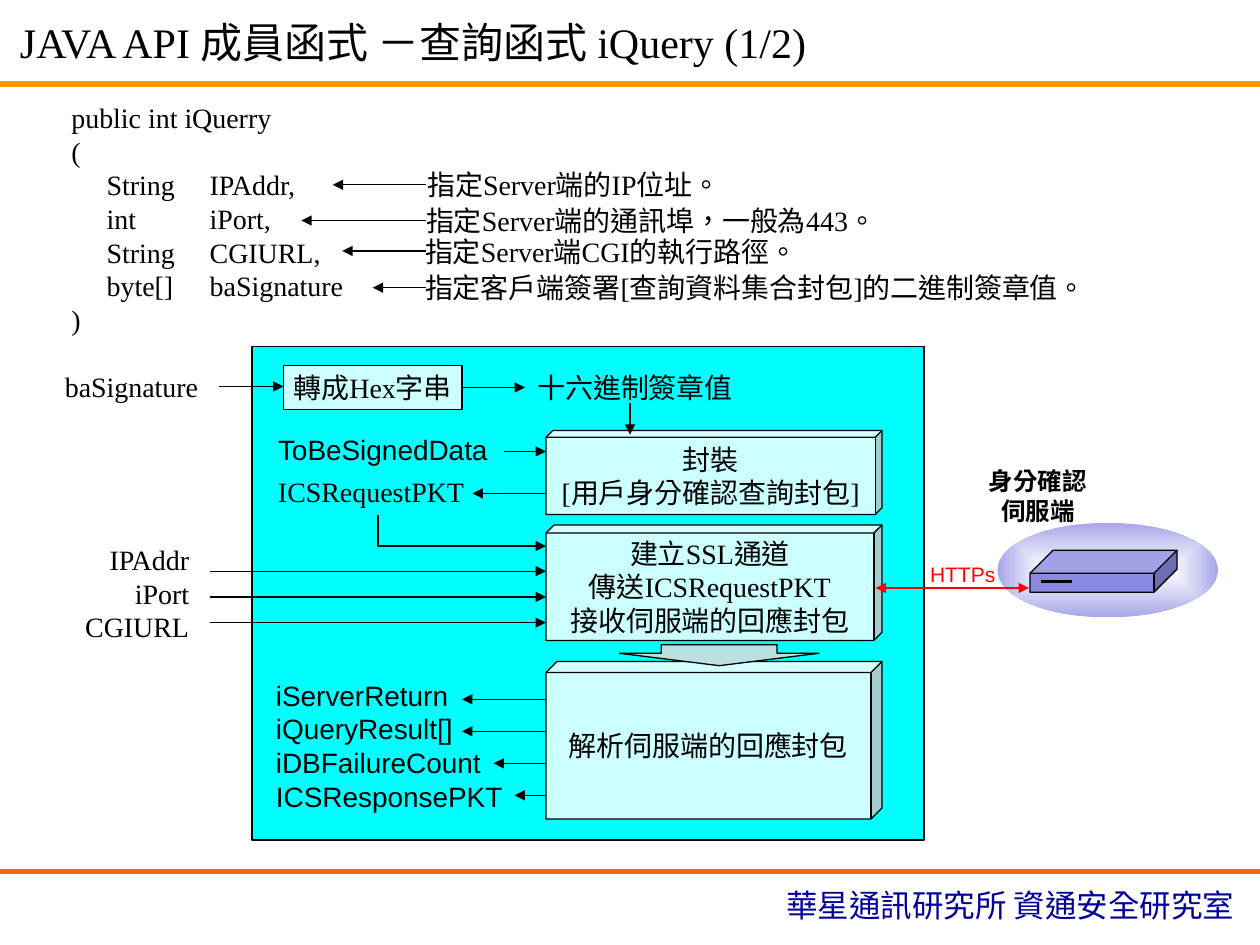
from dataclasses import dataclass

from lxml import etree
from pptx import Presentation
from pptx import util as u
from pptx.dml.color import RGBColor
from pptx.enum import shapes, text
from pptx.oxml import ns


@dataclass(frozen=True)
class Theme:
    """Colours, type sizes and faces of the slide."""
    ink: str = "000000"
    title_rule: str = "FF9900"
    footer_rule: str = "FF6600"
    footer: str = "000099"
    panel: str = "00FFFF"
    step: str = "CCFFFF"
    flow: str = "BBE0E3"
    link: str = "FF0000"
    server: str = "8989E1"
    glow: str = "A7A7E9"
    paper: str = "FFFFFF"
    serif: str = "Times New Roman"
    sans: str = "Arial"
    language: str = "zh-TW"
    title_size: int = 24
    footer_size: int = 18
    body_size: int = 16
    server_size: int = 14
    link_size: int = 12
    thin: float = 0.75
    medium: float = 1.5
    thick: float = 3


THEME = Theme()
COLUMNS, ROWS = 120, 90
CELL = u.Inches(10) // COLUMNS
LEFT, CENTER, RIGHT = text.PP_ALIGN.LEFT, text.PP_ALIGN.CENTER, text.PP_ALIGN.RIGHT


@dataclass(frozen=True)
class Box:
    """A region measured in grid columns and rows."""
    left: float
    top: float
    width: float
    height: float

    def inner(self, left, top, width, height):
        """Return a box placed relative to this one."""
        return Box(self.left + left, self.top + top, width, height)

    def point(self, x, y):
        """Return the slide position of a grid point in this box."""
        return round((self.left + x) * CELL), round((self.top + y) * CELL)

    def frame(self):
        """Return left, top, width and height as lengths."""
        return *self.point(0, 0), round(self.width * CELL), round(self.height * CELL)


def write(holder, words, size=THEME.body_size, face=THEME.serif, color=THEME.ink,
          align=LEFT, bold=False, wrap=True, anchor=text.MSO_ANCHOR.TOP):
    """Fill a shape with formatted text."""
    frame = holder.text_frame
    frame.text = words
    frame.auto_size = text.MSO_AUTO_SIZE.NONE
    frame.word_wrap = wrap
    frame.vertical_anchor = anchor
    for paragraph in frame.paragraphs:
        paragraph.alignment = align
        paragraph.space_before = u.Pt(0)
        for run in paragraph.runs:
            run.font.size, run.font.name, run.font.bold = u.Pt(size), face, bold
            run.font.color.rgb = RGBColor.from_string(color)
            run._r.get_or_add_rPr().set("lang", THEME.language)


def label(slide, box, words, **style):
    """Add a text box."""
    write(slide.shapes.add_textbox(*box.frame()), words, **style)


def block(slide, box, preset, fill, words="", adjust=()):
    """Add an outlined preset shape with centred text."""
    shape = slide.shapes.add_shape(preset, *box.frame())
    shape.shadow.inherit = False
    shape.fill.solid()
    shape.fill.fore_color.rgb = RGBColor.from_string(fill)
    stroke(shape)
    for index, value in enumerate(adjust):
        shape.adjustments[index] = value
    if words:
        write(shape, words, align=CENTER, wrap=False, anchor=text.MSO_ANCHOR.MIDDLE)


def stroke(shape, color=THEME.ink, width=THEME.thin, ends=()):
    """Set the outline and arrowheads of a shape or connector."""
    shape.line.color.rgb = RGBColor.from_string(color)
    shape.line.width = u.Pt(width)
    outline = shape.element.spPr.find(ns.qn("a:ln"))
    for end in ends:
        etree.SubElement(outline, ns.qn(f"a:{end}"), type="triangle")


def line(slide, box, start, end, ends=("tailEnd",), **style):
    """Add a straight connector between two grid points of a box."""
    connector = slide.shapes.add_connector(
        shapes.MSO_CONNECTOR.STRAIGHT, *box.point(*start), *box.point(*end))
    stroke(connector, ends=ends, **style)
    etree.SubElement(connector.element.spPr, ns.qn("a:effectLst"))


def place(holder, box):
    """Move a placeholder to a box."""
    holder.left, holder.top, holder.width, holder.height = box.frame()


def heading(slide, box):
    """Place the title and the rule below it."""
    title = slide.shapes.title
    place(title, box.inner(0.7, 1, 119, 6))
    write(title, "JAVA API 成員函式 －查詢函式 iQuery (1/2)", size=THEME.title_size)
    line(slide, box, (0, box.height), (box.width, box.height), ends=(),
         color=THEME.title_rule, width=THEME.thick)


def footer(slide, box):
    """Place the rule and the department name."""
    line(slide, box, (0, 0), (box.width, 0), ends=(),
         color=THEME.footer_rule, width=THEME.thick)
    label(slide, box.inner(73.7, 0.75, 46, 4.8), "華星通訊研究所 資通安全研究室",
          size=THEME.footer_size, color=THEME.footer)


def signature(slide, box):
    """Place the function signature and the notes on its parameters."""
    body = slide.placeholders[1]
    place(body, box.inner(0, 0, 24, box.height))
    write(body, "public int iQuerry\n(\nString\nint\nString\nbyte[]\n)")
    for index, paragraph in enumerate(body.text_frame.paragraphs):
        properties = paragraph._p.get_or_add_pPr()
        properties.set("marL", str(u.Inches(0.28) if 2 <= index <= 5 else 0))
        properties.set("indent", "0")
        etree.SubElement(properties, ns.qn("a:buNone"))
    label(slide, box.inner(13.2, 6.4, 17, 14), "IPAddr,\niPort,\nCGIURL,\nbaSignature")
    notes = [
        (8.6, 26.1, 33.9, 34, "指定Server端的IP位址。"),
        (12, 23.1, 33.8, 49, "指定Server端的通訊埠，一般為443。"),
        (14.9, 27, 33.7, 41, "指定Server端CGI的執行路徑。"),
        (18.4, 29.9, 33.7, 69, "指定客戶端簽署[查詢資料集合封包]的二進制簽章值。"),
    ]
    for row, tip, left, width, words in notes:
        line(slide, box, (35, row), (tip, row))
        label(slide, box.inner(left, row - 2.2, width, 4.4), words)


def query_flow(slide, box):
    """Place the processing panel with its inputs, steps and results."""
    preset = shapes.MSO_SHAPE
    block(slide, box, preset.RECTANGLE, THEME.panel)
    label(slide, box.inner(-19, 1.6, 15.4, 4.4), "baSignature")
    block(slide, box.inner(3, 1.8, 17, 4.2), preset.RECTANGLE, THEME.step, "轉成Hex字串")
    label(slide, box.inner(26, 1.7, 21, 4.4), "十六進制簽章值", face=THEME.sans)
    label(slide, box.inner(1.3, 7.6, 22.7, 4.4), "ToBeSignedData", face=THEME.sans)
    label(slide, box.inner(1.3, 11.6, 20.2, 4.4), "ICSRequestPKT")
    label(slide, box.inner(-18.8, 18.1, 14, 10.8), "IPAddr\niPort\nCGIURL", align=RIGHT)

    steps = [
        (8, 8, 0.08, "封裝\n[用戶身分確認查詢封包]"),
        (17, 11, 0.07, "建立SSL通道\n傳送ICSRequestPKT\n接收伺服端的回應封包"),
        (30, 15, 0.07, "解析伺服端的回應封包"),
    ]
    for top, height, depth, words in steps:
        block(slide, box.inner(28, top, 32, height), preset.CUBE, THEME.step, words, [depth])
    block(slide, box.inner(35, 28.4, 19, 2), preset.DOWN_ARROW, THEME.flow, adjust=[0.58, 0.59])
    label(slide, box.inner(1.1, 31, 24.7, 14),
          "iServerReturn\niQueryResult[]\niDBFailureCount\nICSResponsePKT",
          face=THEME.sans, anchor=text.MSO_ANCHOR.MIDDLE)

    arrows = [((-3.1, 3.8), (3, 3.8)), ((20, 3.9), (26, 3.9)), ((36, 5.4), (36, 8.4)),
              ((24, 10), (28, 10)), ((28, 14), (21, 14))]
    arrows += [((-4, 21.4 + 2.45 * i), (28, 21.4 + 2.45 * i)) for i in range(3)]
    arrows += [((28, 33.6 + 3.05 * i), (tip, 33.6 + 3.05 * i))
               for i, tip in enumerate((20, 20, 23, 25))]
    for start, end in arrows:
        line(slide, box, start, end)

    builder = slide.shapes.build_freeform(*box.point(12, 16))
    builder.add_line_segments([box.point(12, 19), box.point(28, 19)], close=False)
    request_path = builder.convert_to_shape()
    request_path.shadow.inherit = False
    request_path.fill.background()
    stroke(request_path, ends=("tailEnd",))


def identity_server(slide, box):
    """Place the server, its glow and the secure link to it."""
    label(slide, box.inner(-2.4, -6, 12.5, 6.9), "身分確認\n伺服端",
          size=THEME.server_size, align=CENTER, bold=True)
    glow = slide.shapes.add_shape(shapes.MSO_SHAPE.OVAL, *box.frame())
    glow.shadow.inherit = False
    glow.line.fill.background()
    glow.fill.gradient()
    for stop, color in zip(glow.fill.gradient_stops, (THEME.paper, THEME.glow)):
        stop.color.rgb = RGBColor.from_string(color)
    gradient = glow.element.spPr.find(ns.qn("a:gradFill"))
    gradient.remove(gradient.find(ns.qn("a:lin")))
    spread = etree.Element(ns.qn("a:path"), path="rect")
    gradient.find(ns.qn("a:gsLst")).addnext(spread)
    etree.SubElement(spread, ns.qn("a:fillToRect"),
                     {side: "50000" for side in "ltrb"})
    block(slide, box.inner(3.1, 2.6, 14, 4), shapes.MSO_SHAPE.CUBE, THEME.server, adjust=[0.55])
    line(slide, box, (7.1, 5.6), (4.1, 5.6), ends=(), width=THEME.medium)
    line(slide, box, (-11.6, 6.2), (3, 6.2), ends=("headEnd", "tailEnd"),
         color=THEME.link, width=THEME.medium)
    label(slide, box.inner(-7.6, 3.1, 8.7, 3.6), "HTTPs",
          size=THEME.link_size, face=THEME.sans, color=THEME.link)


def main():
    """Build and save the slide."""
    deck = Presentation()
    deck.slide_width, deck.slide_height = COLUMNS * CELL, ROWS * CELL
    slide = deck.slides.add_slide(deck.slide_layouts[1])
    footer(slide, Box(0, 83, COLUMNS, 7))
    heading(slide, Box(0, 0, COLUMNS, 8))
    signature(slide, Box(5.6, 9, 108, 23.6))
    query_flow(slide, Box(24, 33, 64, 47))
    identity_server(slide, Box(95, 49.8, 21, 9))
    deck.save("out.pptx")


if __name__ == "__main__":
    main()
